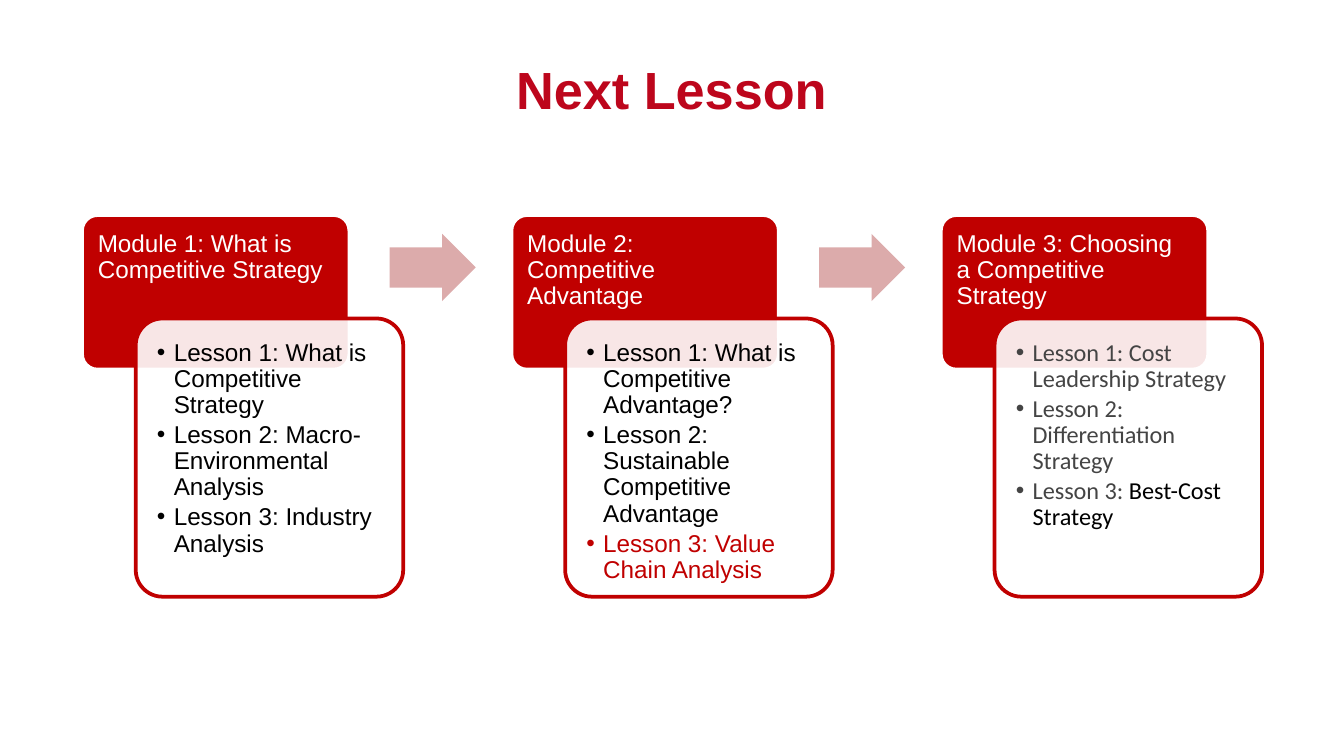
from lxml import etree
from pptx import Presentation
from pptx.dml.color import RGBColor
from pptx.enum.shapes import MSO_SHAPE
from pptx.enum.text import MSO_ANCHOR, MSO_AUTO_SIZE, PP_ALIGN
from pptx.oxml.ns import qn
from pptx.util import Inches, Pt

ROUNDED = MSO_SHAPE.ROUNDED_RECTANGLE
RIGHT_ARROW = MSO_SHAPE.RIGHT_ARROW
BOTTOM = MSO_ANCHOR.BOTTOM
TOP = MSO_ANCHOR.TOP
NO_AUTOFIT = MSO_AUTO_SIZE.NONE
CENTER = PP_ALIGN.CENTER
LEFT = PP_ALIGN.LEFT

TITLE_RED = RGBColor(0xBD, 0x06, 0x1C)
RED = RGBColor(0xC0, 0x00, 0x00)
PINK = RGBColor(0xDC, 0xAB, 0xAB)
WHITE = RGBColor(0xFF, 0xFF, 0xFF)
BLACK = RGBColor(0x00, 0x00, 0x00)
GRAY = RGBColor(0x44, 0x44, 0x44)

FIRST_LEFT, LAST_LEFT = 0.61, 7
MODULES = [
    ("Module 1: What is Competitive Strategy", "Arial", [
        [("Lesson 1: What is Competitive Strategy", BLACK)],
        [("Lesson 2: Macro-Environmental Analysis", BLACK)],
        [("Lesson 3: Industry Analysis", BLACK)],
    ]),
    ("Module 2: Competitive Advantage", "Arial", [
        [("Lesson 1: What is Competitive Advantage?", BLACK)],
        [("Lesson 2: Sustainable Competitive Advantage", BLACK)],
        [("Lesson 3: Value Chain Analysis", RED)],
    ]),
    ("Module 3: Choosing a Competitive Strategy", "Calibri", [
        [("Lesson 1: Cost Leadership Strategy", GRAY)],
        [("Lesson 2: Differentiation Strategy", GRAY)],
        [("Lesson 3:", GRAY), (" Best-Cost Strategy", BLACK)],
    ]),
]
COLUMN_STEP = (LAST_LEFT - FIRST_LEFT) / (len(MODULES) - 1)


def add_block(kind, left, top, width, height, fill, line, adjustments):
    shape = slide.shapes.add_shape(
        kind, Inches(left), Inches(top), Inches(width), Inches(height))
    shape.shadow.inherit = False
    for index, value in enumerate(adjustments):
        shape.adjustments[index] = value
    shape.fill.solid()
    shape.fill.fore_color.rgb = fill
    if line is None:
        shape.line.fill.background()
    else:
        shape.line.color.rgb = line
        shape.line.width = Pt(2)
    return shape


def add_text(left, top, width, height, bottom_margin, paragraphs, font_name, space_after, bulleted):
    box = slide.shapes.add_textbox(
        Inches(left), Inches(top), Inches(width), Inches(height))
    frame = box.text_frame
    frame_format = {
        "word_wrap": True, "auto_size": NO_AUTOFIT, "vertical_anchor": TOP,
        "margin_left": Inches(0.1), "margin_right": Inches(0.1),
        "margin_top": Inches(0.1), "margin_bottom": Inches(bottom_margin),
    }
    for name, value in frame_format.items():
        setattr(frame, name, value)
    for index, runs in enumerate(paragraphs):
        paragraph = frame.add_paragraph() if index else frame.paragraphs[0]
        paragraph_format = {
            "alignment": LEFT, "line_spacing": 0.9, "space_before": Pt(0),
            "space_after": Pt(space_after), "level": int(bulleted),
        }
        for name, value in paragraph_format.items():
            setattr(paragraph, name, value)
        if bulleted:
            properties = paragraph._p.get_or_add_pPr()
            properties.set("marL", str(Pt(9)))
            properties.set("indent", str(-Pt(9)))
            etree.SubElement(properties, qn("a:buFont")).set("typeface", "Arial")
            etree.SubElement(properties, qn("a:buChar")).set("char", "•")
        for text, color in runs:
            run = paragraph.add_run()
            run.text = text
            run.font.name = font_name
            run.font.size = Pt(13)
            run.font.color.rgb = color


presentation = Presentation()
presentation.slide_width = Inches(10)
presentation.slide_height = Inches(10 * 9 / 16)
slide = presentation.slides.add_slide(presentation.slide_layouts[5])

title = slide.shapes.title
title_place = {"left": 0.6, "top": 0.09, "width": 8.79, "height": 0.85}
for name, value in title_place.items():
    setattr(title, name, Inches(value))
title.text_frame.text = "Next Lesson"
title.text_frame.vertical_anchor = BOTTOM
title.text_frame.auto_size = NO_AUTOFIT
title_paragraph = title.text_frame.paragraphs[0]
title_paragraph.alignment = CENTER
for name, value in {"name": "Arial", "size": Pt(28), "bold": True}.items():
    setattr(title_paragraph.runs[0].font, name, value)
title_paragraph.runs[0].font.color.rgb = TITLE_RED

for column, (heading, lesson_font, lessons) in enumerate(MODULES):
    left = FIRST_LEFT + column * COLUMN_STEP
    add_block(ROUNDED, left, 1.6, 1.99, 1.15, RED, WHITE, [0.1])
    add_text(left + 0.02, 1.62, 1.94, 0.72, 0.05, [[(heading, WHITE)]], "Arial", 4.5, False)

    card = add_block(ROUNDED, left + 0.4, 2.37, 1.99, 2.07, WHITE, RED, [0.1])
    card_color = card.fill._xPr.find(qn("a:solidFill"))[0]
    etree.SubElement(card_color, qn("a:alpha")).set("val", "90000")
    add_text(left + 0.46, 2.43, 1.87, 1.95, 0.1, lessons, lesson_font, 2, True)

    if column < len(MODULES) - 1:
        add_block(RIGHT_ARROW, left + 2.29, 1.74, 0.64, 0.5, PINK, None, [0.6, 0.5])

presentation.save("out.pptx")
